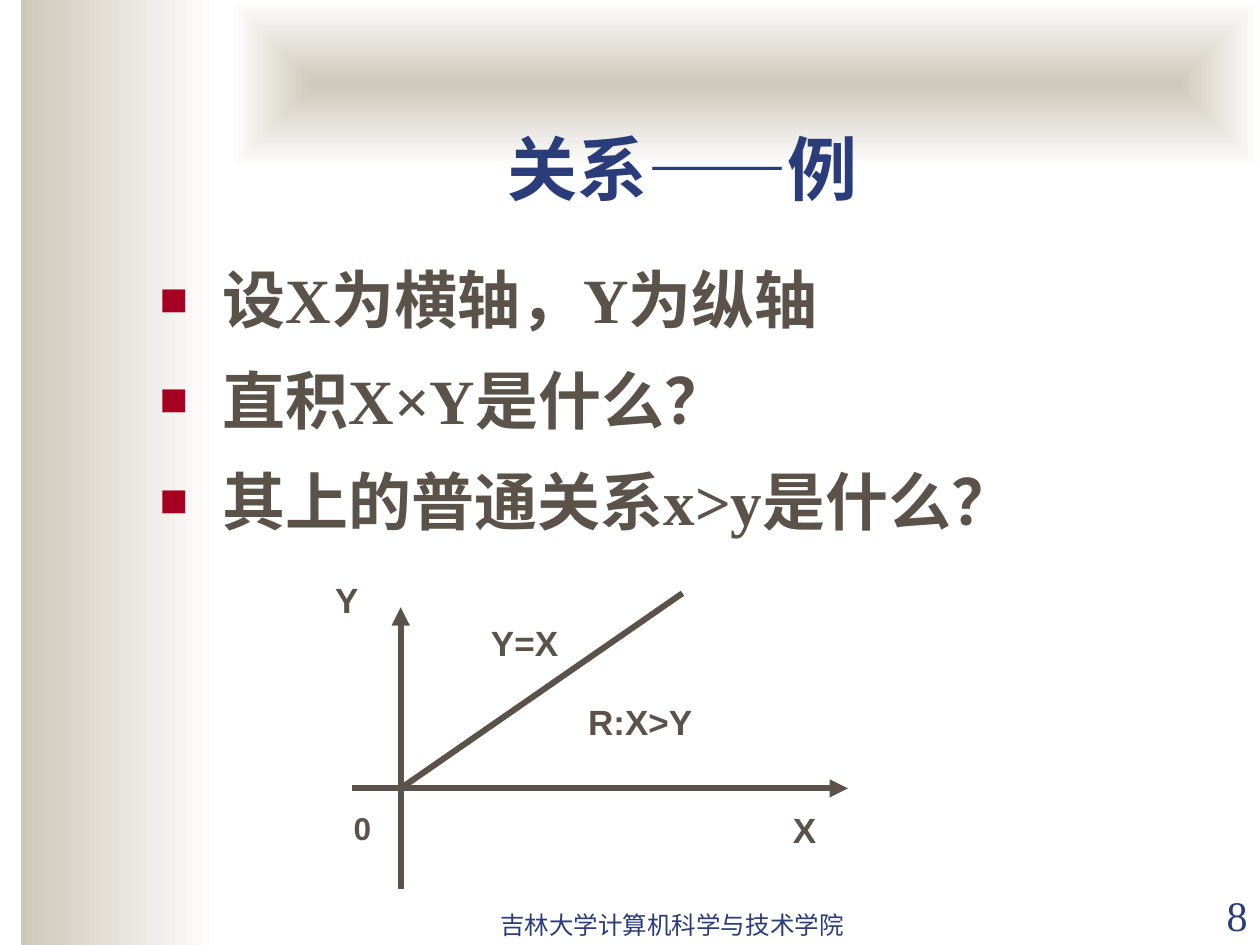
from lxml.etree import SubElement
from pptx import Presentation
from pptx.dml.color import RGBColor
from pptx.enum.shapes import MSO_CONNECTOR, MSO_SHAPE
from pptx.enum.text import MSO_ANCHOR as ANCHOR, MSO_AUTO_SIZE as AUTO, PP_ALIGN as ALIGN
from pptx.oxml.ns import qn
from pptx.util import Pt

COLORS = {"sand": "CEC8BA", "white": "FFFFFF", "navy": "2A3D7A",
          "brown": "5B5249", "red": "A50021"}
SERIF, SANS = "Times New Roman", "Arial"


def rgb(name):
    return RGBColor.from_string(COLORS[name])


def place(sp, left, top, width, height):
    sp.left, sp.top, sp.width, sp.height = map(Pt, (left, top, width, height))


def style(p, size, font, color, bold=False, align=None):
    p.alignment = align
    for r in p.runs:
        f = r.font
        f.size, f.name, f.bold = Pt(size), font, bold
        f.color.rgb = rgb(color)


def space_before(p, percent):
    spacing = SubElement(p._p.get_or_add_pPr(), qn("a:spcBef"))
    SubElement(spacing, qn("a:spcPct"), val=str(percent * 1000))


def add_bullet(p):
    pPr = p._p.get_or_add_pPr()
    pPr.set("marL", str(Pt(36)))
    pPr.set("indent", str(-Pt(36)))
    color = SubElement(pPr, qn("a:buClr"))
    SubElement(color, qn("a:srgbClr"), val=COLORS["red"])
    SubElement(pPr, qn("a:buSzPct"), val="75000")
    SubElement(pPr, qn("a:buFont"), typeface=SANS)
    SubElement(pPr, qn("a:buChar"), char="■")


def add_band(slide, box, from_center=False):
    sp = slide.shapes.add_shape(MSO_SHAPE.RECTANGLE, *map(Pt, box))
    sp.shadow.inherit = False
    sp.line.fill.background()
    sp.fill.gradient()
    sp.fill.gradient_angle = 0
    for stop, name, position in zip(sp.fill.gradient_stops, ("sand", "white"), (0, 1)):
        stop.color.rgb = rgb(name)
        stop.position = position
    if from_center:
        grad = sp._element.spPr.find(qn("a:gradFill"))
        grad.remove(grad.find(qn("a:lin")))
        shade = SubElement(grad, qn("a:path"))
        shade.set("path", "shape")
        SubElement(shade, qn("a:fillToRect"), l="50000", t="50000", r="50000", b="50000")


def add_text(slide, text, box, size, font, color, bold=False, align=None,
             anchor=ANCHOR.TOP, wrap=True, before=0):
    tf = slide.shapes.add_textbox(*map(Pt, box)).text_frame
    tf.text = text
    tf.word_wrap, tf.vertical_anchor = wrap, anchor
    p = tf.paragraphs[0]
    style(p, size, font, color, bold, align)
    if before:
        space_before(p, before)


def add_line(slide, start, end, arrow=False):
    line = slide.shapes.add_connector(MSO_CONNECTOR.STRAIGHT, *map(Pt, start + end))
    line.line.width = Pt(3.5)
    line.line.color.rgb = rgb("brown")
    if arrow:
        SubElement(line.line._get_or_add_ln(), qn("a:tailEnd"), type="triangle")
    SubElement(line._element.spPr, qn("a:effectLst"))


def fill_title(sp, text):
    place(sp, 84, 66.5, 612, 57)
    tf = sp.text_frame
    tf.text = text
    tf.vertical_anchor, tf.auto_size = ANCHOR.BOTTOM, AUTO.NONE
    style(tf.paragraphs[0], 40, SERIF, "navy", True, ALIGN.CENTER)


def fill_body(sp, items):
    place(sp, 84, 145.5, 577, 351)
    tf = sp.text_frame
    tf.text = "\n".join(items)
    tf.auto_size = AUTO.NONE
    for p in tf.paragraphs:
        style(p, 36, SERIF, "brown", True)
        space_before(p, 40)
        add_bullet(p)


def add_graph(slide):
    origin = (229, 450.5)
    # Axes and the line Y=X
    add_line(slide, (201, origin[1]), (484.5, origin[1]), arrow=True)
    add_line(slide, (origin[0], 508), (origin[0], 347), arrow=True)
    add_line(slide, origin, (390, 339))
    # Labels
    labels = [("Y", 184.5, 327, 39), ("X", 446, 458.5, 39),
              ("Y=X", 273.5, 351.5, 55.5), ("R:X>Y", 329, 396.5, 89)]
    for text, left, top, width in labels:
        add_text(slide, text, (left, top, width, 31), 20, SANS, "brown", True, before=50)
    add_text(slide, "0", (195, 458.5, 24.5, 29), 18, SANS, "brown", True, wrap=False)


def main():
    prs = Presentation()
    prs.slide_width, prs.slide_height = Pt(720), Pt(540)
    slide = prs.slides.add_slide(prs.slide_layouts[1])
    title, body = slide.placeholders

    # Background bands, kept behind the placeholders
    add_band(slide, (12, 0, 114, 540))
    add_band(slide, (132, 0, 588, 96), from_center=True)
    for sp in (title, body):
        slide.shapes._spTree.append(sp._element)

    # Title and questions
    fill_title(title, "关系——例")
    fill_body(body, ["设X为横轴，Y为纵轴", "直积X×Y是什么？", "其上的普通关系x>y是什么？"])

    add_graph(slide)

    # Footer and page number
    add_text(slide, "吉林大学计算机科学与技术学院", (270, 504.5, 228, 36), 14, SERIF, "navy",
             align=ALIGN.CENTER, anchor=ANCHOR.BOTTOM)
    add_text(slide, "8", (648, 504.5, 72, 36), 24, SERIF, "navy",
             align=ALIGN.RIGHT, anchor=ANCHOR.BOTTOM)

    prs.save("out.pptx")


if __name__ == "__main__":
    main()
